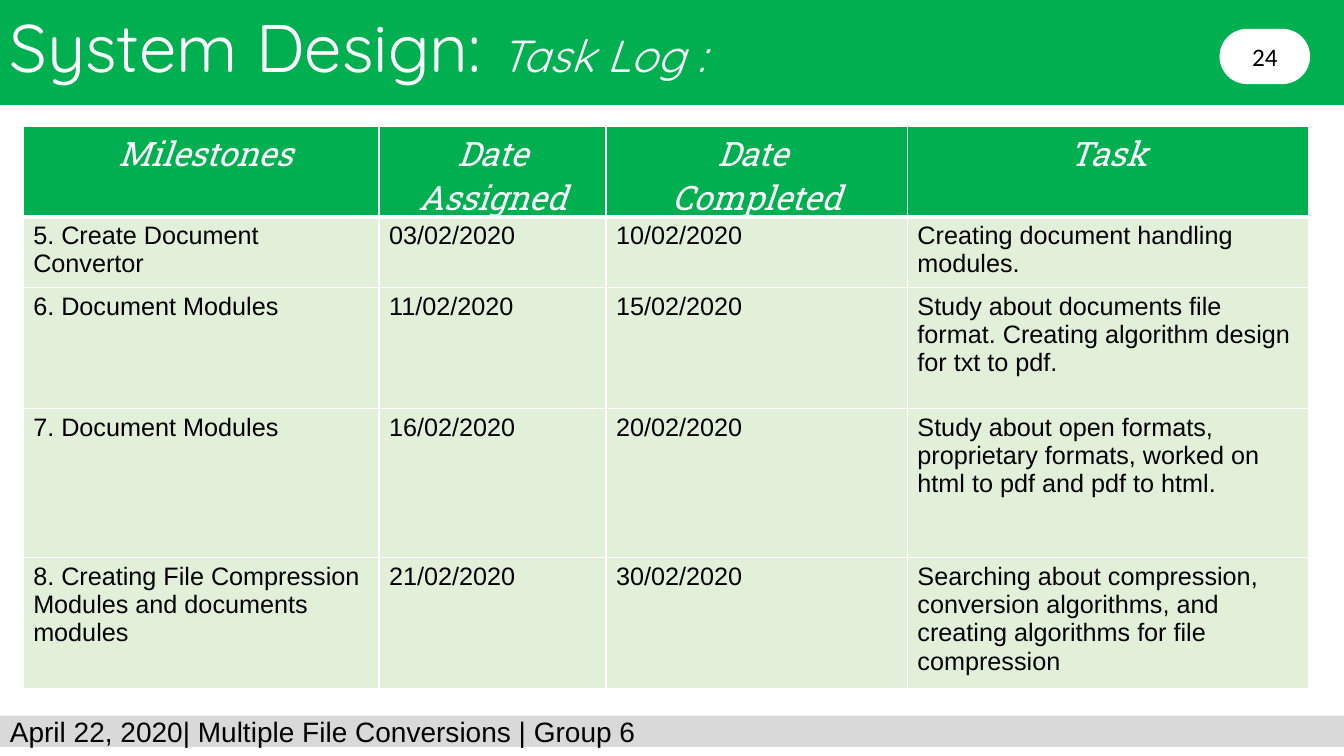
from pptx import Presentation
from pptx.dml.color import RGBColor
from pptx.enum.shapes import MSO_SHAPE
from pptx.enum.text import MSO_ANCHOR, PP_ALIGN
from pptx.oxml import parse_xml
from pptx.oxml.ns import nsdecls
from pptx.util import Inches, Pt

COLORS = {
    "green": "00B050",
    "pale": "E2F0D9",
    "grey": "D9D9D9",
    "white": "FFFFFF",
    "black": "000000",
}
HEADS = [" Milestones", "Date Assigned", "Date \nCompleted", "Task"]
TASKS = [
    ["5. Create Document Convertor", "03/02/2020", "10/02/2020",
     "Creating document handling modules."],
    ["6. Document Modules", "11/02/2020", "15/02/2020",
     "Study about documents file format. Creating algorithm design for txt to pdf."],
    ["7. Document Modules", "16/02/2020", "20/02/2020",
     "Study about open formats, proprietary formats, worked on html to pdf and pdf to html."],
    ["8. Creating File Compression Modules and documents modules",
     "21/02/2020", "30/02/2020",
     "Searching about compression, conversion algorithms, and creating algorithms for file compression"],
]
WIDTHS = [3.53, 2.25, 2.99, 3.98]
HEIGHTS = [0.83, 0.65, 1.2, 1.48, 0.92]


def color(name):
    return RGBColor.from_string(COLORS[name])


def write(para, text, font="Arial", size=18, ink="black", italic=False, align=None):
    """Add one formatted run to a paragraph."""
    if align is not None:
        para.alignment = align
    run = para.add_run()
    run.text = text
    run.font.name = font
    run.font.size = Pt(size)
    run.font.italic = italic
    run.font.color.rgb = color(ink)


def add_box(slide, kind, left, top, width, height, fill):
    """Add a plain shape and return it."""
    box = slide.shapes.add_shape(
        kind, Inches(left), Inches(top), Inches(width), Inches(height))
    box.shadow.inherit = False
    box.fill.solid()
    box.fill.fore_color.rgb = color(fill)
    box.line.fill.background()
    box.text_frame.vertical_anchor = MSO_ANCHOR.MIDDLE
    return box


def add_title(slide):
    box = slide.shapes.add_textbox(0, 0, Inches(9.87), Inches(0.91))
    box.text_frame.word_wrap = True
    para = box.text_frame.paragraphs[0]
    write(para, "System Design: ", font="Quicksand", size=48, ink="white")
    write(para, "Task Log :", font="Quicksand", size=32, ink="white", italic=True)


def add_badge(slide, number):
    badge = add_box(slide, MSO_SHAPE.ROUNDED_RECTANGLE, 12.11, 0.3, 0.87, 0.52, "white")
    badge.adjustments[0] = 0.5
    badge.line.color.rgb = color("white")
    badge.line.width = Pt(2)
    write(badge.text_frame.paragraphs[0], number, font="Calibri", align=PP_ALIGN.CENTER)


def set_edges(cell, thick):
    """Draw white cell borders, with the thick sides at 3 points."""
    props = cell._tc.get_or_add_tcPr()
    for place, side in enumerate("LRTB"):
        width = Pt(3) if side == thick else Pt(0.96)
        props.insert(place, parse_xml(
            f'<a:ln{side} {nsdecls("a")} w="{width}"><a:solidFill>'
            f'<a:srgbClr val="{COLORS["white"]}"/></a:solidFill></a:ln{side}>'))


def fill_cell(cell, text, fill, thick, **style):
    cell.fill.solid()
    cell.fill.fore_color.rgb = color(fill)
    set_edges(cell, thick)
    frame = cell.text_frame
    for i, line in enumerate(text.split("\n")):
        para = frame.add_paragraph() if i else frame.paragraphs[0]
        write(para, line, **style)


def add_log(slide):
    rows = [HEADS] + TASKS
    frame = slide.shapes.add_table(
        len(rows), len(HEADS), Inches(0.23), Inches(1.25), Inches(12.75), Inches(5.58))
    table = frame.table
    for col, width in zip(table.columns, WIDTHS):
        col.width = Inches(width)
    for row, height in zip(table.rows, HEIGHTS):
        row.height = Inches(height)
    frame.height = Inches(5.58)

    head = dict(font="Roboto Slab", size=24, ink="white", italic=True,
                align=PP_ALIGN.CENTER)
    for r, texts in enumerate(rows):
        fill, style = ("pale", {}) if r else ("green", head)
        thick = {0: "B", 1: "T"}.get(r)
        for c, text in enumerate(texts):
            fill_cell(table.cell(r, c), text, fill, thick, **style)


def main():
    deck = Presentation()
    deck.slide_width, deck.slide_height = Inches(13.33), Inches(7.5)
    slide = deck.slides.add_slide(deck.slide_layouts[6])

    # Header band
    add_box(slide, MSO_SHAPE.RECTANGLE, 0, 0, 13.33, 1.04, "green")
    add_title(slide)
    add_badge(slide, "24")

    # Task table
    add_log(slide)

    # Footer band
    foot = add_box(slide, MSO_SHAPE.RECTANGLE, 0, 7.1, 13.33, 0.31, "grey")
    write(foot.text_frame.paragraphs[0],
          "April 22, 2020| Multiple File Conversions | Group 6",
          size=20, align=PP_ALIGN.LEFT)

    deck.save("out.pptx")


if __name__ == "__main__":
    main()
